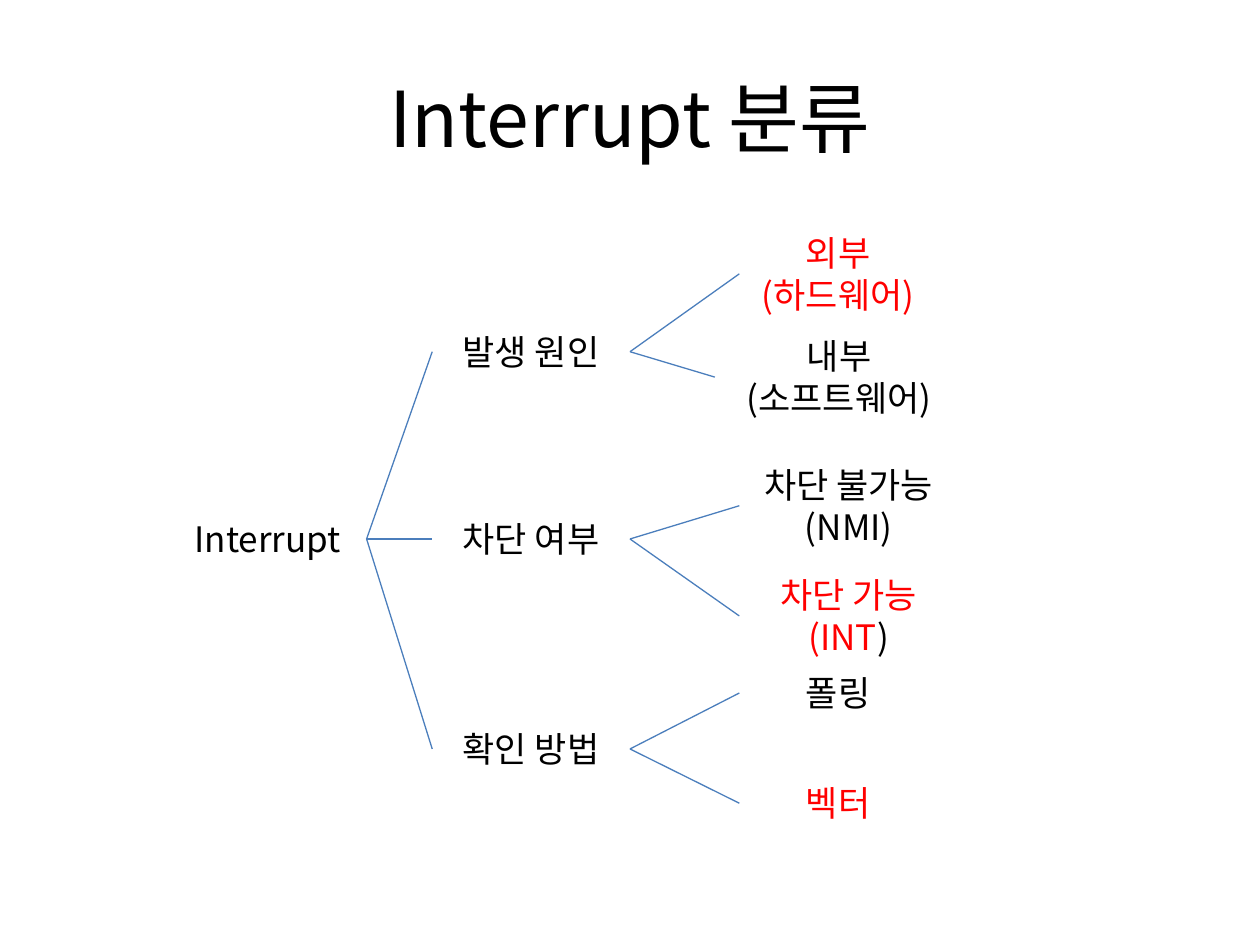
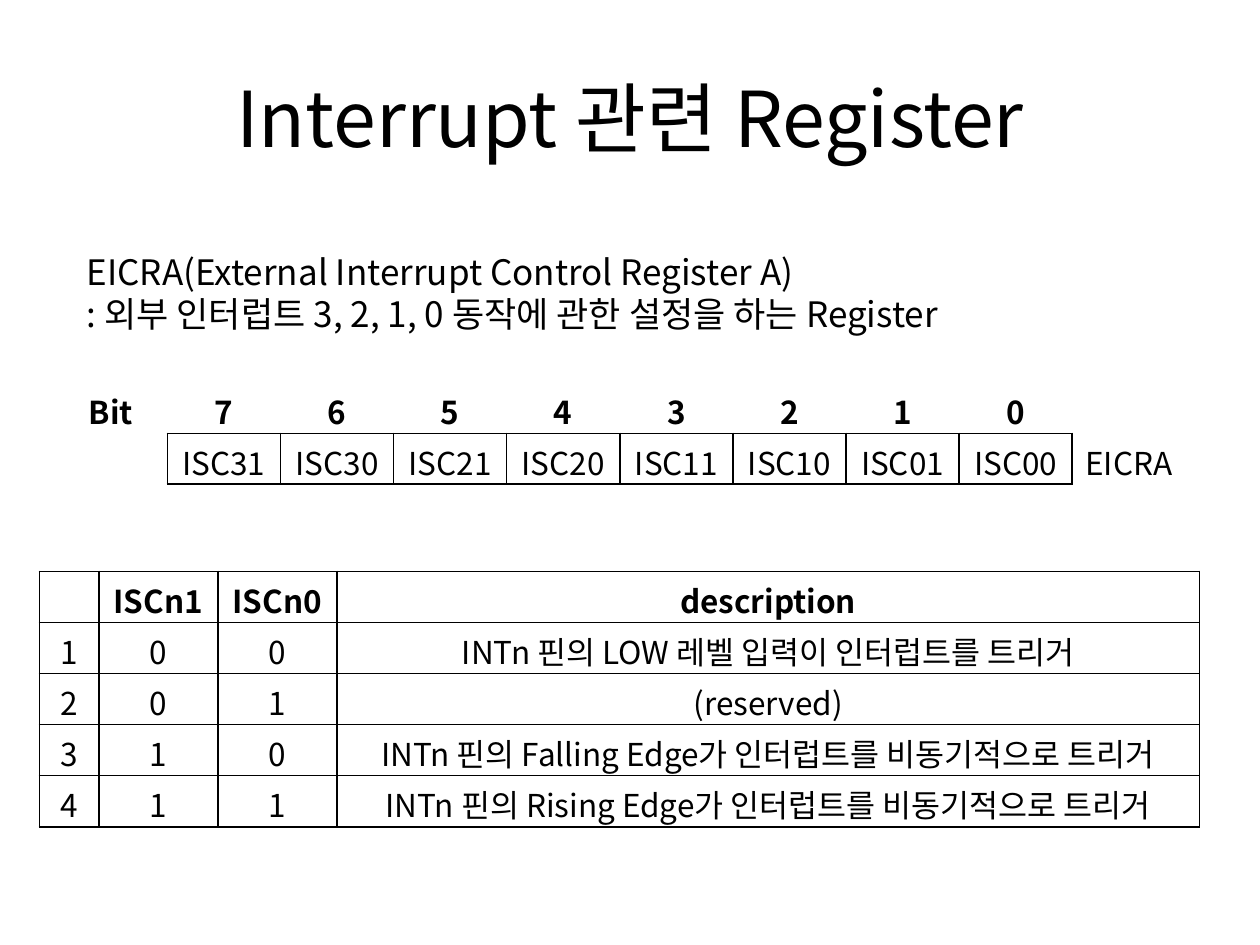
from pptx import Presentation
from pptx.dml.color import RGBColor
from pptx.enum.shapes import MSO_CONNECTOR
from pptx.enum.text import MSO_ANCHOR, MSO_AUTO_SIZE, PP_ALIGN
from pptx.oxml.ns import qn
from pptx.util import Pt
from lxml.etree import SubElement

FONT = "Noto Sans CJK KR"
BLACK = RGBColor(0, 0, 0)
RED = RGBColor(0xFF, 0, 0)
BLUE = RGBColor(0x4B, 0x7E, 0xBC)

ROOT = ("Interrupt", 0, 113, 180)
GROUPS = [
    (("발생 원인", 150.5, 113, 73),
     [("외부\n(하드웨어)", 326, 113, 28.5, RED),
      ("내부\n(소프트웨어)", 312, 142, 87.5)]),
    (("차단 여부", 150.5, 113, 180),
     [("차단 불가능(NMI)", 326, 125, 161),
      ("차단 가능(INT", 326, 125, 224, RED, ")")]),
    (("확인 방법", 150.5, 113, 300),
     [("폴링", 326, 113, 268),
      ("벡터", 326, 113, 331, RED)]),
]
NOTE = ("EICRA(External Interrupt Control Register A)\n"
        ": 외부 인터럽트 3, 2, 1, 0 동작에 관한 설정을 하는 Register")
BITS = [
    ["Bit"] + [str(bit) for bit in range(7, -1, -1)] + [""],
    [""] + [f"ISC{pin}{bit}" for pin in range(3, -1, -1) for bit in (1, 0)] + ["EICRA"],
]
MODES = [
    ["", "ISCn1", "ISCn0", "description"],
    ["1", "0", "0", "INTn 핀의 LOW 레벨 입력이 인터럽트를 트리거"],
    ["2", "0", "1", "(reserved)"],
    ["3", "1", "0", "INTn 핀의 Falling Edge가 인터럽트를 비동기적으로 트리거"],
    ["4", "1", "1", "INTn 핀의 Rising Edge가 인터럽트를 비동기적으로 트리거"],
]


def style(frame, size, color=BLACK, bold=False, align=PP_ALIGN.CENTER):
    for para in frame.paragraphs:
        para.alignment = align
        for run in para.runs:
            font = run.font
            font.size, font.bold, font.name = Pt(size), bold, FONT
            font.color.rgb = color
            SubElement(run._r.get_or_add_rPr(), qn("a:ea"), typeface=FONT)


def add_page(deck, text):
    page = deck.slides.add_slide(deck.slide_layouts[5])
    title = page.shapes.title
    title.left, title.top, title.width, title.height = Pt(36), Pt(21.6), Pt(648), Pt(90)
    title.text_frame.text = text
    title.text_frame.vertical_anchor = MSO_ANCHOR.MIDDLE
    style(title.text_frame, 44)
    return page


def add_label(page, text, left, top, width, height, color=BLACK, align=PP_ALIGN.CENTER):
    frame = page.shapes.add_textbox(Pt(left), Pt(top), Pt(width), Pt(height)).text_frame
    frame.word_wrap = True
    frame.auto_size = MSO_AUTO_SIZE.SHAPE_TO_FIT_TEXT
    frame.text = text
    style(frame, 20, color, align=align)
    return frame


def add_node(page, left, top, text, x, width, mid, color=BLACK, tail=""):
    height = 55.5 if "\n" in text or "(" in text else 31.5
    frame = add_label(page, text, left + x, top + mid - height / 2, width, height, color)
    if tail:
        run = frame.paragraphs[0].add_run()
        run.text = tail
        style(frame, 20, color)
        run.font.color.rgb = BLACK


def add_link(page, left, top, start, end):
    line = page.shapes.add_connector(
        MSO_CONNECTOR.STRAIGHT, Pt(left + start[1] + start[2]), Pt(top + start[3]),
        Pt(left + end[1]), Pt(top + end[3]))
    line.line.color.rgb = BLUE
    line.line.width = Pt(0.75)
    SubElement(line._element.spPr, qn("a:effectLst"))


def add_tree(page, left, top):
    add_node(page, left, top, *ROOT)
    for group, leaves in GROUPS:
        add_node(page, left, top, *group)
        add_link(page, left, top, ROOT, group)
        for leaf in leaves:
            add_node(page, left, top, *leaf)
            add_link(page, left, top, group, leaf)


def set_edges(cell, sides):
    props = cell._tc.get_or_add_tcPr()
    for side in "LRTB":
        edge = SubElement(props, qn(f"a:ln{side}"), w=str(Pt(1)))
        if side in sides:
            fill = SubElement(edge, qn("a:solidFill"))
            SubElement(fill, qn("a:srgbClr"), val=str(BLACK))
        else:
            SubElement(edge, qn("a:noFill"))


def add_grid(page, left, top, widths, height, rows, edges):
    grid = page.shapes.add_table(
        len(rows), len(widths), Pt(left), Pt(top),
        Pt(sum(widths)), Pt(height * len(rows))).table
    grid.first_row = grid.horz_banding = False
    for col, width in zip(grid.columns, widths):
        col.width = Pt(width)
    for r, row in enumerate(rows):
        grid.rows[r].height = Pt(height)
        for c, text in enumerate(row):
            cell = grid.cell(r, c)
            set_edges(cell, edges(r, c))
            cell.fill.background()
            cell.margin_left = cell.margin_right = cell.margin_bottom = 0
            cell.margin_top = Pt(3)
            cell.vertical_anchor = MSO_ANCHOR.MIDDLE
            cell.text_frame.text = text
            style(cell.text_frame, 18, bold=r == 0)


def bit_edges(r, c):
    if 1 <= c <= 8:
        return "LRTB" if r else "B"
    return {0: "R", 9: "L"}[c] if r else ""


def main():
    deck = Presentation()
    deck.slide_width, deck.slide_height = Pt(720), Pt(540)
    add_tree(add_page(deck, "Interrupt 분류"), 96.5, 128)
    page = add_page(deck, "Interrupt 관련 Register")
    add_label(page, NOTE, 42.5, 139.7, 623.5, 55.5, align=PP_ALIGN.LEFT)
    add_grid(page, 31, 218.5, [64.65] * 10, 29.1, BITS, bit_edges)
    add_grid(page, 22.5, 326.5, [34, 68, 68, 493], 29.2, MODES, lambda r, c: "LRTB")
    deck.save("out.pptx")


if __name__ == "__main__":
    main()
